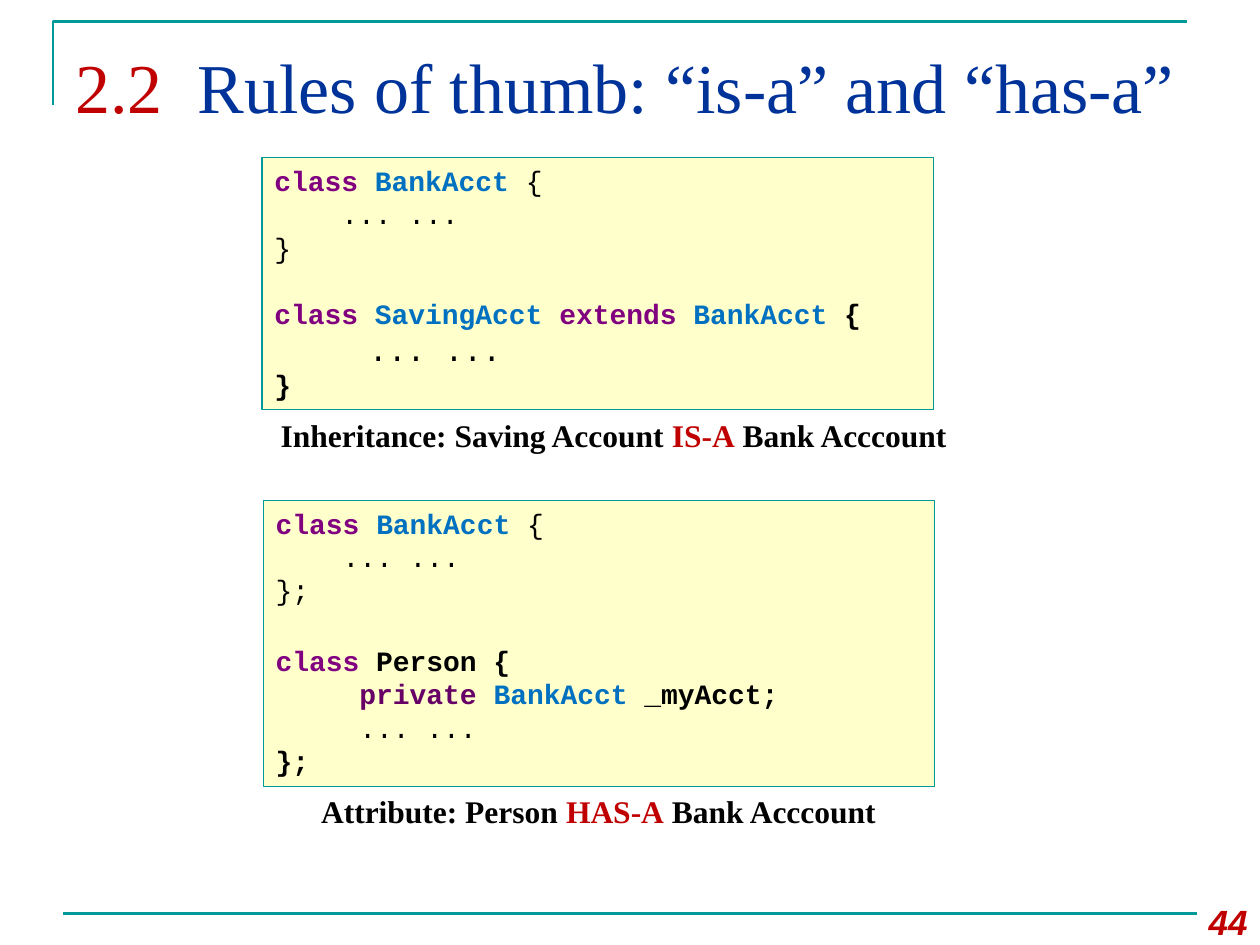
from dataclasses import dataclass

import pptx
import pptx.dml.color
import pptx.enum.shapes
import pptx.enum.text
import pptx.oxml.ns
import pptx.util
from lxml import etree

Inches = pptx.util.Inches
Pt = pptx.util.Pt
Align = pptx.enum.text.PP_ALIGN
Anchor = pptx.enum.text.MSO_ANCHOR

TEAL, CREAM, NAVY, RED = "009999", "FFFFCC", "003399", "C00000"
BLACK, PURPLE, PLUM, BLUE = "000000", "800080", "660066", "0070C0"
LINE_RATIO = 1.19
CODE = {"name": "Courier New", "bold": True}
CAPTION = {"name": "Times New Roman", "size": Pt(18), "bold": True}
TITLE = {"name": "Times New Roman", "size": Pt(40)}
NUMBER = {"name": "Arial", "size": Pt(20), "bold": True, "italic": True}


@dataclass
class Span:
    text: str
    color: str = BLACK
    bold: bool = True


@dataclass
class Line:
    spans: list[Span]
    size: int = 16
    height: int = 16
    after_gap: bool = False


@dataclass
class Example:
    left: float
    top: float
    height: float
    lines: list[Line]
    caption_left: float
    caption: list[Span]


def plain(text: str, **options) -> Line:
    return Line([Span(text, bold=False)], **options)


def rgb(color: str) -> pptx.dml.color.RGBColor:
    return pptx.dml.color.RGBColor.from_string(color)


def apply(target, values: dict) -> None:
    for name, value in values.items():
        setattr(target, name, value)


def add_spans(para, spans: list[Span], font: dict) -> None:
    for span in spans:
        run = para.add_run()
        run.text = span.text
        apply(run.font, font)
        run.font.color.rgb = rgb(span.color)


def set_frame(box, anchor=Anchor.TOP):
    frame = box.text_frame
    apply(frame, {"word_wrap": True, "vertical_anchor": anchor})
    return frame


def add_label(page, place: tuple, spans: list[Span], font: dict, align, anchor=Anchor.TOP):
    box = page.shapes.add_textbox(*map(Inches, place))
    para = set_frame(box, anchor).paragraphs[0]
    para.alignment = align
    add_spans(para, spans, font)
    return para


def add_code(page, example: Example) -> None:
    box = page.shapes.add_shape(
        pptx.enum.shapes.MSO_SHAPE.RECTANGLE,
        Inches(example.left), Inches(example.top), Inches(5.33), Inches(example.height),
    )
    box.shadow.inherit = False
    box.fill.solid()
    box.fill.fore_color.rgb = rgb(CREAM)
    set_line(box, 0.75)
    frame = set_frame(box)
    for index, line in enumerate(example.lines):
        para = frame.add_paragraph() if index else frame.paragraphs[0]
        para.alignment = Align.LEFT
        para.line_spacing = Pt(line.height * LINE_RATIO)
        if line.after_gap:
            para.space_before = Pt(16 * LINE_RATIO)
        for span in line.spans:
            add_spans(para, [span], CODE | {"size": Pt(line.size), "bold": span.bold})


def set_line(shape, width: float) -> None:
    shape.line.color.rgb = rgb(TEAL)
    shape.line.width = Pt(width)


def add_frame_lines(page) -> None:
    builder = page.shapes.build_freeform(Inches(0.42), Inches(0.83))
    corner = [(Inches(0.42), Inches(0.17)), (Inches(9.42), Inches(0.17))]
    builder.add_line_segments(corner, close=False)
    bracket = builder.convert_to_shape()
    bracket.shadow.inherit = False
    bracket.fill.background()
    set_line(bracket, 1.5)
    rule = page.shapes.add_connector(
        pptx.enum.shapes.MSO_CONNECTOR.STRAIGHT,
        Inches(0.5), Inches(7.25), Inches(9.5), Inches(7.25),
    )
    set_line(rule, 1.5)
    etree.SubElement(rule._element.spPr, pptx.oxml.ns.qn("a:effectLst"))


def add_title(page) -> None:
    spans = [Span("2.2\t", RED), Span("Rules of thumb: “is-a” and “has-a”", NAVY)]
    para = add_label(page, (0.5, 0.25, 9, 0.86), spans, TITLE, Align.LEFT, Anchor.MIDDLE)
    properties = para._p.get_or_add_pPr()
    stops = etree.SubElement(properties, pptx.oxml.ns.qn("a:tabLst"))
    etree.SubElement(stops, pptx.oxml.ns.qn("a:tab"), pos=str(Inches(0.97)), algn="l")


def class_opening() -> list[Line]:
    return [
        Line([Span("class ", PURPLE), Span("BankAcct", BLUE), Span(" {", bold=False)]),
        plain("    ... ..."),
    ]


EXAMPLES = [
    Example(2.08, 1.25, 2, [
        *class_opening(),
        plain("}"),
        Line([
            Span("class ", PURPLE), Span("SavingAcct ", BLUE), Span("extends ", PURPLE),
            Span("BankAcct", BLUE), Span(" {"),
        ], after_gap=True),
        plain("     ... ...", size=18, height=18),
        Line([Span("}")]),
    ], 1.83, [
        Span("Inheritance: Saving Account "), Span("IS-A", RED), Span(" Bank Acccount"),
    ]),
    Example(2.09, 3.97, 2.27, [
        *class_opening(),
        plain("};"),
        Line([Span("class", PURPLE), Span(" Person {")], height=18, after_gap=True),
        Line([Span("     private ", PLUM), Span("BankAcct", BLUE), Span(" _myAcct;")]),
        plain("     ... ..."),
        Line([Span("};")]),
    ], 1.71, [
        Span("Attribute: Person "), Span("HAS-A", RED), Span(" Bank Acccount"),
    ]),
]


def main() -> None:
    deck = pptx.Presentation()
    apply(deck, {"slide_width": Inches(10), "slide_height": Inches(7.5)})
    page = deck.slides.add_slide(deck.slide_layouts[6])
    add_frame_lines(page)
    add_title(page)
    for example in EXAMPLES:
        add_code(page, example)
        place = (example.caption_left, example.top + example.height, 6.08, 0.4)
        add_label(page, place, example.caption, CAPTION, Align.CENTER)
    add_label(page, (9.33, 7.1, 0.67, 0.4), [Span("44", RED)], NUMBER, Align.RIGHT)
    deck.save("out.pptx")


if __name__ == "__main__":
    main()
